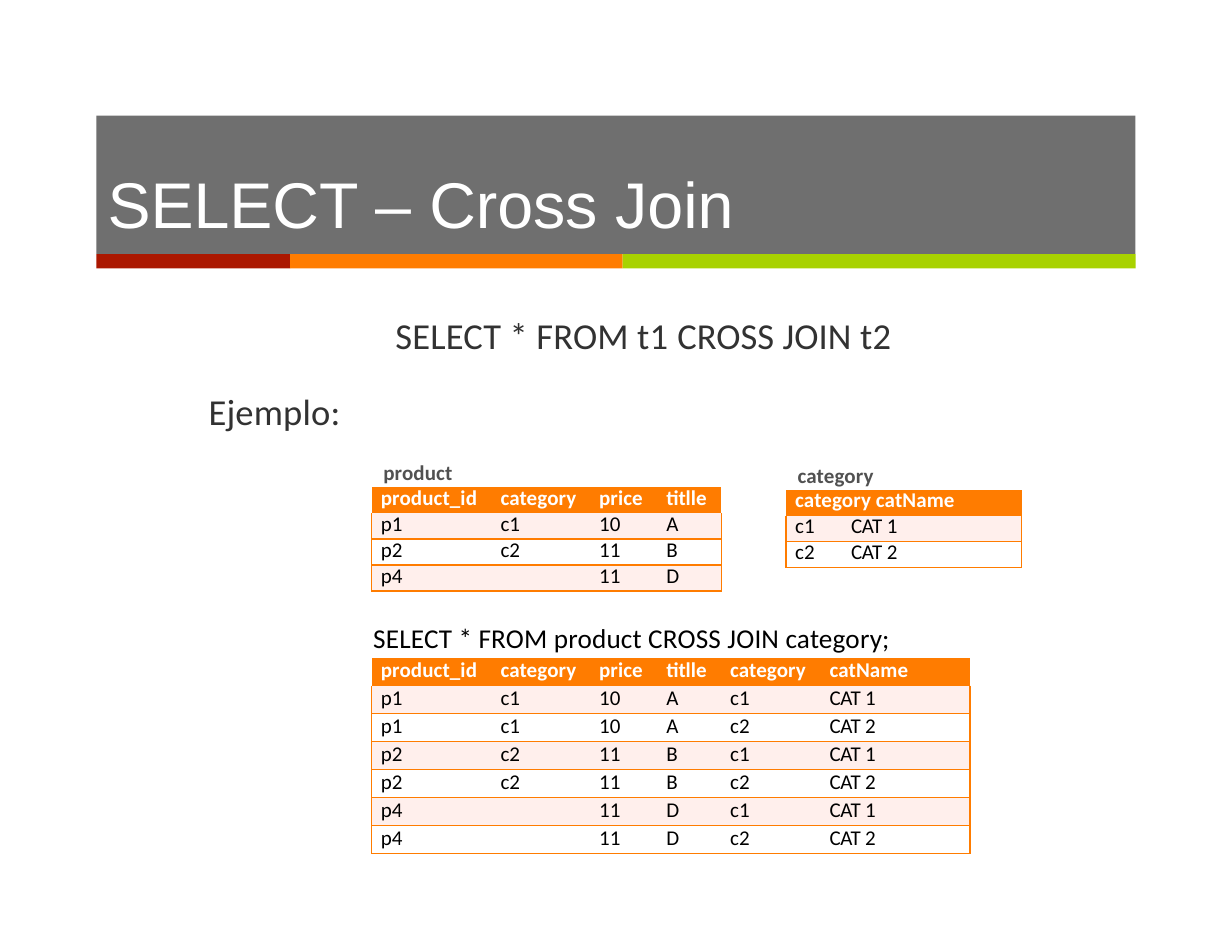
"""Build the slide explaining the SQL cross join with its example tables."""
from dataclasses import dataclass
from typing import Any

from lxml import etree
from pptx import Presentation
from pptx.dml.color import RGBColor
from pptx.enum.shapes import MSO_SHAPE
from pptx.enum.text import MSO_ANCHOR, PP_ALIGN
from pptx.oxml.ns import qn
from pptx.util import Pt

RECTANGLE = MSO_SHAPE.RECTANGLE
TOP = MSO_ANCHOR.TOP
LEFT = PP_ALIGN.LEFT
COLORS = {
    "banner": "323232", "red": "AB1700", "orange": "FF7C00", "green": "A8D200",
    "white": "FFFFFF", "body": "323232", "caption": "515151", "black": "000000",
    "band": "FFEFEC",
}
PLAIN_TABLE_STYLE = "{2D5ABB26-0587-4C30-8999-92F81FD0307C}"
BANNER_LEFT, BANNER_TOP, BANNER_HEIGHT, STRIPE_HEIGHT = 62, 74.3, 89, 9.2
ZERO_CELL = {"margin_left": 0, "margin_right": 0, "margin_top": 0,
             "margin_bottom": 0, "vertical_anchor": TOP}
FRAME = {"margin_left": 0, "margin_right": 0, "margin_bottom": 0,
         "vertical_anchor": TOP, "word_wrap": True}


@dataclass(frozen=True)
class Style:
    size: float
    color: str
    bold: bool = False
    font: str = "Calibri"


@dataclass(frozen=True)
class Line:
    runs: tuple[tuple[str, float], ...]
    indent: float = 0.9
    before: float = 1.3
    spacing: float | None = None
    tab: float | None = None


@dataclass(frozen=True)
class Label:
    box: tuple[float, float, float, float]
    style: Style
    lines: tuple[Line, ...]


@dataclass(frozen=True)
class Grid:
    left: float
    top: float
    widths: tuple[float, ...]
    row_height: float
    rows: tuple[tuple[str, ...], ...]
    spacing: float | None = None
    tab: float | None = None


def apply(target: Any, values: dict[str, Any]) -> None:
    for name, value in values.items():
        setattr(target, name, value)


def rgb(color: str) -> RGBColor:
    return RGBColor.from_string(COLORS[color])


def write_line(paragraph: Any, line: Line, style: Style) -> None:
    apply(paragraph, {"alignment": LEFT, "space_before": Pt(line.before)})
    if line.spacing:
        paragraph.line_spacing = Pt(line.spacing)
    properties = paragraph._p.get_or_add_pPr()
    properties.set("marL", str(Pt(line.indent)))
    properties.set("indent", "0")
    if line.tab:
        stops = etree.SubElement(properties, qn("a:tabLst"))
        etree.SubElement(stops, qn("a:tab"), pos=str(Pt(line.tab)), algn="l")
    for text, tracking in line.runs:
        run = paragraph.add_run()
        run.text = text
        apply(run.font, {"name": style.font, "size": Pt(style.size), "bold": style.bold})
        run.font.color.rgb = rgb(style.color)
        run._r.get_or_add_rPr().set("spc", str(round(tracking * 100)))
    if not line.runs:
        etree.SubElement(paragraph._p, qn("a:endParaRPr"), sz=str(round(style.size * 100)))


def draw_block(slide: Any, box: tuple[float, ...], color: str) -> Any:
    block = slide.shapes.add_shape(RECTANGLE, *map(Pt, box))
    block.shadow.inherit = False
    block.fill.solid()
    block.fill.fore_color.rgb = rgb(color)
    block.line.fill.background()
    return block


def draw_banner(slide: Any) -> None:
    left = BANNER_LEFT
    for color, width in (("red", 124.5), ("orange", 213.8), ("green", 329.7)):
        draw_block(slide, (left, BANNER_TOP + BANNER_HEIGHT, width, STRIPE_HEIGHT), color)
        left += width
    banner = draw_block(slide, (BANNER_LEFT, BANNER_TOP, left - BANNER_LEFT, BANNER_HEIGHT),
                        "banner")
    color = banner.fill._xPr.find(qn("a:solidFill"))[0]
    etree.SubElement(color, qn("a:alpha"), val="70000")
    apply(banner.text_frame, FRAME | {"margin_top": Pt(31)})
    title = Line((("SELECT – ", 0), ("Cross ", -0.1), ("Join", 0)), 7.2, 0)
    write_line(banner.text_frame.paragraphs[0], title, Style(41.5, "white", font="Arial"))


def draw_label(slide: Any, label: Label) -> None:
    frame = slide.shapes.add_textbox(*map(Pt, label.box)).text_frame
    apply(frame, FRAME | {"margin_top": Pt(1.2)})
    for index, line in enumerate(label.lines):
        paragraph = frame.add_paragraph() if index else frame.paragraphs[0]
        write_line(paragraph, line, label.style)


def cell_runs(text: str) -> tuple[tuple[str, float], ...]:
    before, prefix, after = text.partition("CAT ")
    tracking = 0 if len(text) == 1 or text == "titlle" else 0.1
    parts = ((before, tracking), (prefix, -0.2), (after, 0.1))
    return tuple(part for part in parts if part[0])


def add_borders(cell: Any, sides: list[str]) -> None:
    properties = cell._tc.get_or_add_tcPr()
    for position, side in enumerate(sides):
        border = etree.Element(qn(f"a:ln{side}"), w=str(Pt(1)))
        fill = etree.SubElement(border, qn("a:solidFill"))
        etree.SubElement(fill, qn("a:srgbClr"), val=COLORS["orange"])
        properties.insert(position, border)


def draw_grid(slide: Any, grid: Grid) -> None:
    count, last = len(grid.rows), len(grid.widths) - 1
    frame = slide.shapes.add_table(count, last + 1, Pt(grid.left), Pt(grid.top),
                                   Pt(sum(grid.widths)), Pt(grid.row_height * count))
    table = frame.table
    apply(table, {"first_row": False, "horz_banding": False})
    table._tbl.tblPr.find(qn("a:tableStyleId")).text = PLAIN_TABLE_STYLE
    for column, width in zip(table.columns, grid.widths):
        column.width = Pt(width)
    for r, values in enumerate(grid.rows):
        table.rows[r].height = Pt(grid.row_height)
        style = Style(13.5, "black" if r else "white", not r)
        for c, text in enumerate(values):
            cell = table.cell(r, c)
            apply(cell, ZERO_CELL)
            if r % 2 or not r:
                cell.fill.solid()
                cell.fill.fore_color.rgb = rgb("band" if r else "orange")
            else:
                cell.fill.background()
            line = Line(cell_runs(text), 7.2 if c else 5.8, 0.3, grid.spacing, grid.tab)
            write_line(cell.text_frame.paragraphs[0], line, style)
            if r:
                edges = {"L": c == 0, "R": c == last, "T": r > 1, "B": True}
                add_borders(cell, [side for side, shown in edges.items() if shown])


PRODUCTS = (("p1", "c1", "10", "A"), ("p2", "c2", "11", "B"), ("p4", "", "11", "D"))
CATEGORIES = (("c1", "CAT 1"), ("c2", "CAT 2"))
PRODUCT_HEAD = ("product_id", "category", "price", "titlle")
CATEGORY_HEAD = ("category", "catName")
CROSS_JOIN = tuple(product + category for product in PRODUCTS for category in CATEGORIES)
GRIDS = (
    Grid(239, 313.2, (75.6, 63.4, 43.2, 42.5), 16.7, (PRODUCT_HEAD, *PRODUCTS), 15.2),
    Grid(505.4, 314.8, (151.5,), 16.7,
         ((" ".join(CATEGORY_HEAD),), *(("\t".join(row),) for row in CATEGORIES)), 15.2, 66),
    Grid(239, 422.8, (75.6, 63.4, 43.2, 41, 64, 97.5), 18,
         (PRODUCT_HEAD + CATEGORY_HEAD, *CROSS_JOIN)),
)
CAPTION = Style(13.5, "caption", True)
LABELS = (
    Label((133.2, 200.2, 445, 79.2), Style(23.5, "body"), (
        Line((("SELECT * FROM t1 ", 0.1), ("CROSS ", 0), ("JOIN t2", 0.1)), 121, 1.2),
        Line((("Ejemplo:", 0.1),), before=20.3))),
    Label((239, 398.2, 345, 23.8), Style(17.5, "black"),
          (Line((("SELECT * FROM product CROSS JOIN category;", 0.1),)),)),
    Label((245.5, 294.5, 50, 18.7), CAPTION,
          (Line((("p", 0.1), ("r", -0.1), ("oduct", 0.1))),)),
    Label((511.9, 295.9, 56, 18.7), CAPTION, (Line((("category", 0.1),)),)),
)


def main() -> None:
    deck = Presentation()
    apply(deck, {"slide_width": Pt(792), "slide_height": Pt(612)})
    slide = deck.slides.add_slide(deck.slide_layouts[6])
    draw_banner(slide)
    for label in LABELS:
        draw_label(slide, label)
    for grid in GRIDS:
        draw_grid(slide, grid)
    deck.save("out.pptx")


main()
